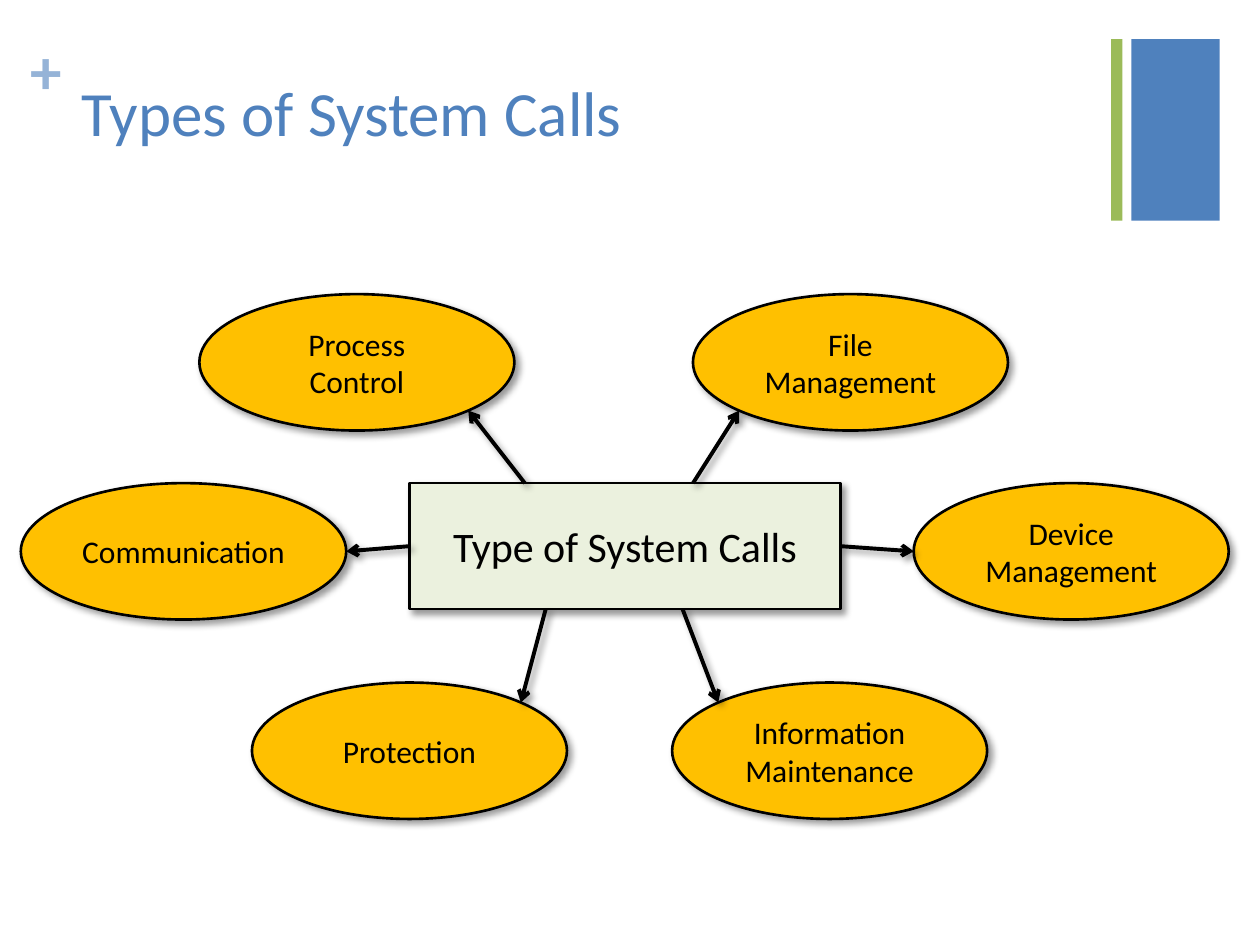
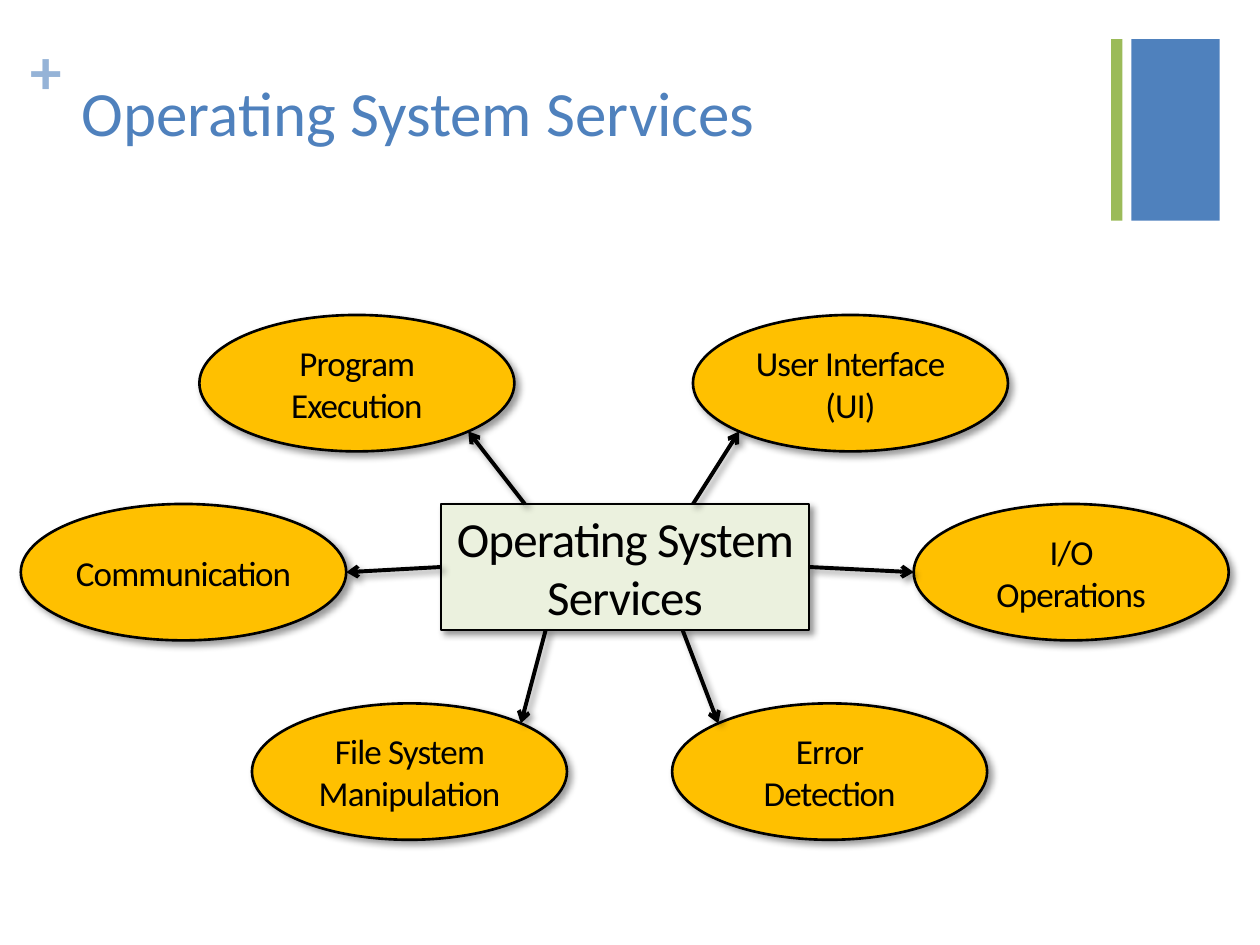
"""Build two hub-and-spoke slides on system calls and operating system services."""
import math

from lxml import etree
from pptx import Presentation
from pptx import util as u
from pptx.dml.color import RGBColor
from pptx.enum import shapes, text
from pptx.oxml.ns import qn

COLOURS = {
    "blue": "4F81BD",
    "pale_blue": "95B3D7",
    "green": "9BBB59",
    "hub": "EBF1DE",
    "topic": "FFC000",
    "ink": "000000",
}
FONT = "Calibri"
HUB_CENTRE, HUB_HEIGHT = 12.6, 2.54
TOPIC_HEIGHT = 2.75
UPPER, MIDDLE, LOWER = -3.81, 0, 4.02

# left, drop below the hub's top, width, angle of the arrow tip, x where the arrow leaves the hub
SLOTS = [
    (13.97, UPPER, 6.35, 135, 13.97),
    (4.02, UPPER, 6.35, 45, 10.58),
    (18.42, MIDDLE, 6.35, 180, None),
    (0.42, MIDDLE, 6.56, 0, None),
    (5.08, LOWER, 6.35, -45, 11.0),
    (13.55, LOWER, 6.35, -135, 13.76),
]

DIAGRAMS = [
    dict(
        title="Types of System Calls", hub="Type of System Calls",
        hub_top=9.74, hub_width=8.69, hub_size=24, topic_size=18, spacing=0,
        topics=["File Management", "Process\nControl", "Device Management",
                "Communication", "Protection", "Information Maintenance"],
    ),
    dict(
        title="Operating System Services", hub="Operating System Services",
        hub_top=10.16, hub_width=7.42, hub_size=28, topic_size=20, spacing=-0.5,
        topics=["User Interface\n(UI)", "Program Execution", "I/O Operations",
                "Communication", "File System Manipulation", "Error Detection"],
    ),
]


def colour(name):
    return RGBColor.from_string(COLOURS[name])


def write(frame, words, size, ink="ink", bold=False, spacing=0,
          align=text.PP_ALIGN.CENTER, anchor=text.MSO_ANCHOR.MIDDLE, margins=(0.25, 0.13)):
    frame.word_wrap = True
    frame.auto_size = text.MSO_AUTO_SIZE.NONE
    frame.vertical_anchor = anchor
    frame.margin_left = frame.margin_right = u.Cm(margins[0])
    frame.margin_top = frame.margin_bottom = u.Cm(margins[1])
    frame.text = words
    for paragraph in frame.paragraphs:
        paragraph.alignment = align
        for run in paragraph.runs:
            run.font.name = FONT
            run.font.size = u.Pt(size)
            run.font.bold = bold
            run.font.color.rgb = colour(ink)
            if spacing:
                run._r.get_or_add_rPr().set("spc", str(round(spacing * 100)))


def cast_shadow(properties):
    effects = properties.find(qn("a:effectLst"))
    if effects is None:
        effects = etree.SubElement(properties, qn("a:effectLst"))
    shadow = etree.SubElement(effects, qn("a:outerShdw"), blurRad=str(u.Pt(4)),
                              dist=str(u.Pt(3)), dir=str(45 * 60000),
                              algn="tl", rotWithShape="0")
    ink = etree.SubElement(shadow, qn("a:srgbClr"), val=COLOURS["ink"])
    etree.SubElement(ink, qn("a:alpha"), val="40000")


class Deck:
    def __init__(self):
        self.show = Presentation()
        self.show.slide_width, self.show.slide_height = u.Cm(25.4), u.Cm(19.05)
        self.slide = None

    def start(self, title):
        self.slide = self.show.slides.add_slide(self.show.slide_layouts[5])
        self.shape("RECTANGLE", 22.81, 0.79, 1.78, 3.66, "blue")
        self.shape("RECTANGLE", 22.4, 0.79, 0.23, 3.66, "green")
        plus = self.slide.shapes.add_textbox(*map(u.Cm, (0.61, 0.64, 0.74, 1.55)))
        write(plus.text_frame, "+", 36, "pale_blue", bold=True, align=text.PP_ALIGN.LEFT,
              anchor=text.MSO_ANCHOR.TOP, margins=(0, 0))
        heading = self.slide.shapes.title
        heading.left, heading.top, heading.width, heading.height = map(
            u.Cm, (1.4, 1.35, 20.98, 3.1))
        write(heading.text_frame, title, 36, "blue", align=text.PP_ALIGN.LEFT,
              anchor=text.MSO_ANCHOR.TOP)

    def shape(self, kind, left, top, width, height, fill):
        shape = self.slide.shapes.add_shape(
            getattr(shapes.MSO_SHAPE, kind), *map(u.Cm, (left, top, width, height)))
        shape.shadow.inherit = False
        shape.fill.solid()
        shape.fill.fore_color.rgb = colour(fill)
        shape.line.fill.background()
        return shape

    def node(self, kind, left, top, width, height, fill, words, **style):
        node = self.shape(kind, left, top, width, height, fill)
        node.line.color.rgb = colour("ink")
        node.line.width = u.Pt(1.5)
        cast_shadow(node._element.spPr)
        write(node.text_frame, words, **style)
        return node

    def arrow(self, start, tip):
        arrow = self.slide.shapes.add_connector(
            shapes.MSO_CONNECTOR.STRAIGHT, *map(u.Cm, (*start, *tip)))
        arrow.line.color.rgb = colour("ink")
        arrow.line.width = u.Pt(2.25)
        properties = arrow._element.spPr
        etree.SubElement(properties.find(qn("a:ln")), qn("a:tailEnd"), type="arrow")
        cast_shadow(properties)
        return arrow

    def diagram(self, title, hub, hub_top, hub_width, hub_size, topic_size, spacing, topics):
        self.start(title)
        hub_left = HUB_CENTRE - hub_width / 2
        centre = self.node("RECTANGLE", hub_left, hub_top, hub_width, HUB_HEIGHT, "hub",
                           hub, size=hub_size, spacing=spacing)
        for topic, (left, drop, width, angle, exit_x) in zip(topics, SLOTS):
            top = hub_top + drop
            margins = (0, 0.13) if topic == "Communication" else (0.25, 0.13)
            self.node("OVAL", left, top, width, TOPIC_HEIGHT, "topic", topic,
                      size=topic_size, spacing=spacing, margins=margins)
            turn = math.radians(angle)
            tip = (left + width / 2 * (1 + math.cos(turn)),
                   top + TOPIC_HEIGHT / 2 * (1 + math.sin(turn)))
            if exit_x is None:
                on_left = angle == 0
                side_x = hub_left if on_left else hub_left + hub_width
                spoke = self.arrow((side_x, hub_top + HUB_HEIGHT / 2), tip)
                spoke.begin_connect(centre, 1 if on_left else 3)
            else:
                exit_y = hub_top if drop < 0 else hub_top + HUB_HEIGHT
                self.arrow((exit_x, exit_y), tip)


def main():
    deck = Deck()
    for diagram in DIAGRAMS:
        deck.diagram(**diagram)
    deck.show.save("out.pptx")


if __name__ == "__main__":
    main()
